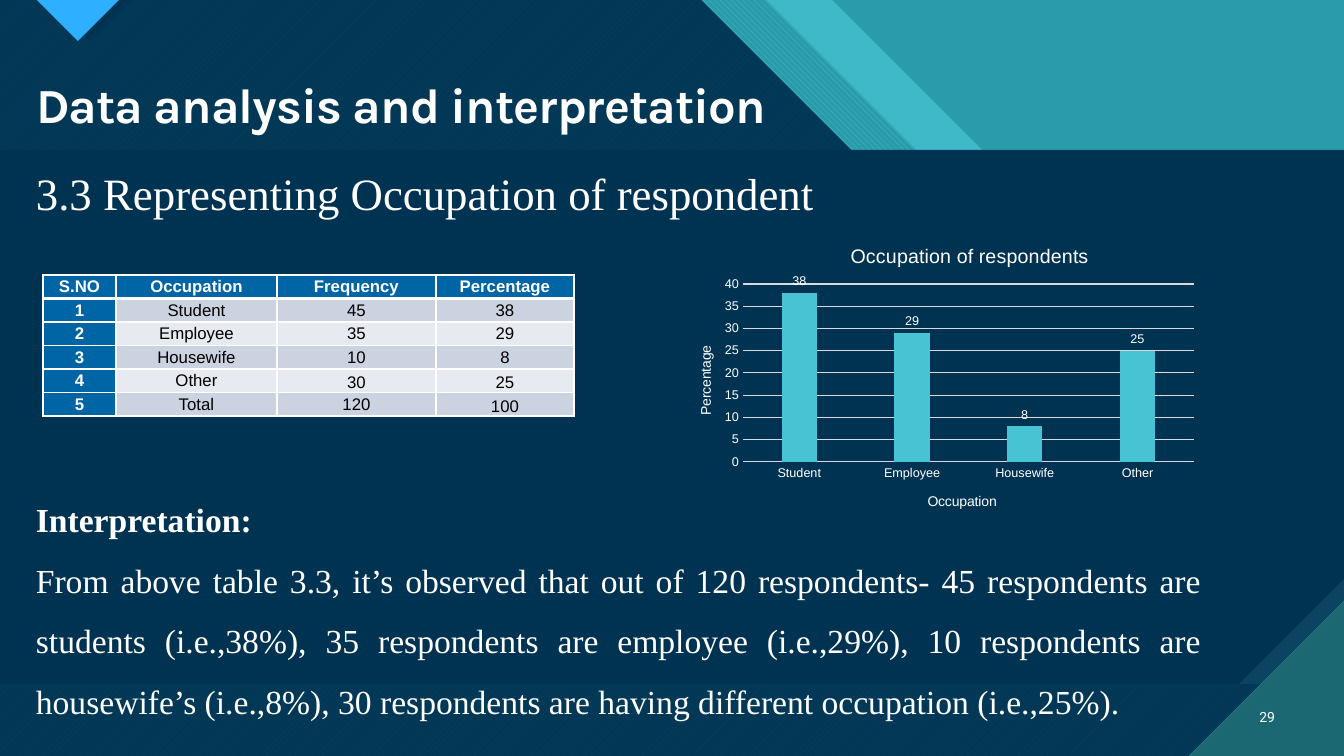
import lxml.etree
import pptx
import pptx.chart.data
import pptx.dml.color
import pptx.enum.chart
import pptx.enum.dml
import pptx.enum.text
import pptx.oxml.ns
import pptx.util

WIDTH, HEIGHT = 1344, 756
RGB = pptx.dml.color.RGBColor
WHITE = RGB(0xFF, 0xFF, 0xFF)
BLACK = RGB(0x00, 0x00, 0x00)
NAVY = RGB(0x00, 0x33, 0x52)
SLATE = RGB(0x0C, 0x43, 0x60)
TEAL = RGB(0x29, 0x9C, 0xAB)
AQUA = RGB(0x47, 0xC3, 0xD3)
PINE = RGB(0x1B, 0x68, 0x72)
SKY = RGB(0x2F, 0xAF, 0xFF)
BLUE = RGB(0x00, 0x65, 0xA4)
ROW_DARK = RGB(0xCC, 0xD3, 0xE0)
ROW_LIGHT = RGB(0xE7, 0xEA, 0xF0)
GRID = RGB(0xD9, 0xD9, 0xD9)
PATTERN = pptx.enum.dml.MSO_PATTERN
ALIGN = pptx.enum.text.PP_ALIGN
ANCHOR = pptx.enum.text.MSO_ANCHOR
CHART = pptx.enum.chart

ROWS = [
    ("S.NO", "Occupation", "Frequency", "Percentage"),
    ("1", "Student", "45", "38"),
    ("2", "Employee", "35", "29"),
    ("3", "Housewife", "10", "8"),
    ("4", "Other", "30", "25"),
    ("5", "Total", "120", "100"),
]
COLUMNS = (73, 161, 159, 138)
BOTTOM_CELLS = {(4, 2), (4, 3), (5, 3)}
FINDINGS = (
    "From above table 3.3, it’s observed that out of 120 respondents- 45 respondents are "
    "students (i.e.,38%), 35 respondents are employee (i.e.,29%), 10 respondents are "
    "housewife’s (i.e.,8%), 30 respondents are having different occupation (i.e.,25%)."
)


def px(length):
    return round(length * 12192000 / WIDTH)


def tag(parent, name, **attributes):
    return lxml.etree.SubElement(parent, pptx.oxml.ns.qn(name), attributes)


class SlideBuilder:
    serif = "Times New Roman"
    sans = "Arial"

    def __init__(self, deck):
        self.page = deck.slides.add_slide(deck.slide_layouts[5])
        self.shapes = self.page.shapes

    def polygon(self, points, color, pattern=None, back=None, opacity=100):
        corners = [(px(x), px(y)) for x, y in points]
        builder = self.shapes.build_freeform(*corners[0], scale=1.0)
        builder.add_line_segments(corners[1:], close=True)
        shape = builder.convert_to_shape()
        shape.shadow.inherit = False
        shape.line.fill.background()
        fill = shape.fill
        if pattern:
            fill.patterned()
            fill.pattern = pattern
            fill.fore_color.rgb = color
            fill.back_color.rgb = back
        else:
            fill.solid()
            fill.fore_color.rgb = color
        if opacity < 100:
            swatch = shape._element.spPr.find(".//" + pptx.oxml.ns.qn("a:srgbClr"))
            tag(swatch, "a:alpha", val=str(opacity * 1000))

    def diagonal_band(self, edge, color, **style):
        points = [(0, 0), (edge, 0), (WIDTH, WIDTH - edge), (WIDTH, HEIGHT), (0, HEIGHT)]
        self.polygon(points, color, **style)

    def span(self, para, text, size, font, color=WHITE, bold=False):
        span = para.add_run()
        span.text = text
        span.font.size = pptx.util.Pt(size)
        span.font.name = font
        span.font.bold = bold
        span.font.color.rgb = color
        return span

    def title(self, text, left, top, width, height):
        box = self.shapes.title
        self.shapes._spTree.append(box._element)
        box.left, box.top, box.width, box.height = map(px, (left, top, width, height))
        box.text_frame.auto_size = pptx.enum.text.MSO_AUTO_SIZE.NONE
        para = box.text_frame.paragraphs[0]
        para.alignment = ALIGN.LEFT
        para.line_spacing = 0.9
        span = self.span(para, text, 35, "Karla", bold=True)
        span._r.get_or_add_rPr().set("spc", "-70")

    def text(self, lines, left, top, width, height, size, font=serif,
             align=ALIGN.JUSTIFY, spacing=1.0, anchor=ANCHOR.TOP):
        frame = self.shapes.add_textbox(*map(px, (left, top, width, height))).text_frame
        frame.word_wrap = True
        frame.vertical_anchor = anchor
        for index, (line, bold) in enumerate(lines):
            para = frame.add_paragraph() if index else frame.paragraphs[0]
            para.alignment = align
            para.line_spacing = spacing
            self.span(para, line, size, font, bold=bold)

    def table(self, rows, columns, left, top, height):
        area = map(px, (left, top, sum(columns), height))
        table = self.shapes.add_table(len(rows), len(columns), *area).table
        for column, width in zip(table.columns, columns):
            column.width = px(width)
        for r, row in enumerate(rows):
            for c, text in enumerate(row):
                self.cell(table.cell(r, c), text, r, c)

    def cell(self, cell, text, r, c):
        header = r == 0 or c == 0
        cell.margin_left = cell.margin_right = px(7)
        cell.margin_top = cell.margin_bottom = 0
        cell.vertical_anchor = ANCHOR.BOTTOM if (r, c) in BOTTOM_CELLS else ANCHOR.MIDDLE
        for side in "LRTB":
            points = 3 if r == 0 and side == "B" else 1
            border = tag(cell._tc.get_or_add_tcPr(), "a:ln" + side, w=str(pptx.util.Pt(points)))
            tag(tag(border, "a:solidFill"), "a:srgbClr", val=str(WHITE))
        cell.fill.solid()
        cell.fill.fore_color.rgb = BLUE if header else ROW_DARK if r % 2 else ROW_LIGHT
        para = cell.text_frame.paragraphs[0]
        para.alignment = ALIGN.CENTER
        self.span(para, text, 12, self.sans, WHITE if header else BLACK, header)

    def chart(self, title, categories, values, left, top, width, height):
        def place(element, index, x, y, w=None, h=None):
            name = pptx.oxml.ns.qn("c:layout")
            for old in element.findall(name):
                element.remove(old)
            layout = element.makeelement(name)
            element.insert(index, layout)
            manual = tag(layout, "c:manualLayout")
            if w:
                tag(manual, "c:layoutTarget", val="inner")
            tag(manual, "c:xMode", val="edge")
            tag(manual, "c:yMode", val="edge")
            tag(manual, "c:x", val=f"{(x - left) / width:.4f}")
            tag(manual, "c:y", val=f"{(y - top) / height:.4f}")
            if w:
                tag(manual, "c:w", val=f"{w / width:.4f}")
                tag(manual, "c:h", val=f"{h / height:.4f}")

        def caption(target, text, size, x, y):
            self.span(target.text_frame.paragraphs[0], text, size, self.sans)
            place(target._element, 1, x, y)

        def style_font(font, size):
            font.size = pptx.util.Pt(size)
            font.name = self.sans
            font.color.rgb = WHITE

        data = pptx.chart.data.CategoryChartData()
        data.categories = categories
        data.add_series("Series 1", values)
        chart = self.shapes.add_chart(CHART.XL_CHART_TYPE.COLUMN_CLUSTERED,
                                      *map(px, (left, top, width, height)), data).chart
        style_font(chart.font, 10)
        chart.has_legend = False
        chart.has_title = True
        caption(chart.chart_title, title, 14, 847, 240)
        category_axis, value_axis = chart.category_axis, chart.value_axis
        for axis in (category_axis, value_axis):
            style_font(axis.tick_labels.font, 9)
            axis.major_tick_mark = axis.minor_tick_mark = CHART.XL_TICK_MARK.NONE
        caption(category_axis.axis_title, "Occupation", 10, 925, 490)
        caption(value_axis.axis_title, "Percentage", 10, 694, 343)
        turned = value_axis.axis_title.text_frame._txBody.bodyPr
        turned.set("rot", "-5400000")
        turned.set("vert", "horz")
        value_axis.minimum_scale, value_axis.maximum_scale = 0, 40
        value_axis.major_unit = 5
        value_axis.format.line.fill.background()
        for line in (category_axis.format.line, value_axis.major_gridlines.format.line):
            line.color.rgb = GRID
            line.width = pptx.util.Pt(0.75)
        plot = chart.plots[0]
        plot.gap_width, plot.overlap = 219, -27
        plot.vary_by_categories = False
        series = plot.series[0]
        series.format.fill.solid()
        series.format.fill.fore_color.rgb = AQUA
        labels = series.data_labels
        labels.show_value = True
        labels.position = CHART.XL_LABEL_POSITION.OUTSIDE_END
        style_font(labels.font, 9)
        place(chart._chartSpace.chart.plotArea, 0, 743, 284, 451, 178)


def main():
    deck = pptx.Presentation()
    deck.slide_width, deck.slide_height = px(WIDTH), px(HEIGHT)
    slide = SlideBuilder(deck)
    backdrop = slide.page.background.fill
    backdrop.solid()
    backdrop.fore_color.rgb = TEAL
    slide.diagonal_band(832, AQUA, opacity=74)
    slide.diagonal_band(766, AQUA, pattern=PATTERN.WIDE_DOWNWARD_DIAGONAL, back=TEAL)
    slide.diagonal_band(701, AQUA, pattern=PATTERN.WIDE_UPWARD_DIAGONAL, back=PINE)
    slide.diagonal_band(701, NAVY, opacity=90)
    for left, color in ((49, NAVY), (37, SKY)):
        slide.polygon([(left, 0), (left + 82, 0), (left + 41, 41)], color)
    slide.polygon([(0, 150), (WIDTH, 150), (WIDTH, 684), (0, 684)], SLATE,
                  PATTERN.DARK_VERTICAL, PINE)
    slide.polygon([(0, 150), (WIDTH, 150), (WIDTH, 579), (1239, 684), (0, 684)], NAVY)
    slide.polygon([(1189, HEIGHT), (WIDTH, HEIGHT), (WIDTH, 601)], PINE,
                  PATTERN.DARK_HORIZONTAL, AQUA)
    slide.title("Data analysis and interpretation", 26, 76, 762, 63)
    slide.text([("29", False)], 1241, 697, 44, 40, 10, "Roboto", ALIGN.RIGHT, anchor=ANCHOR.MIDDLE)
    slide.text([("3.3 Representing Occupation of respondent", False)], 26, 161, 811, 65, 32)
    slide.text([("Interpretation:", True), (FINDINGS, False)], 26, 474, 1185, 248, 24, spacing=1.5)
    slide.table(ROWS, COLUMNS, 43, 275, 141)
    people = ROWS[1:5]
    slide.chart("Occupation of respondents", [row[1] for row in people],
                [int(row[3]) for row in people], 672, 226, 532, 302)
    deck.save("out.pptx")


if __name__ == "__main__":
    main()
